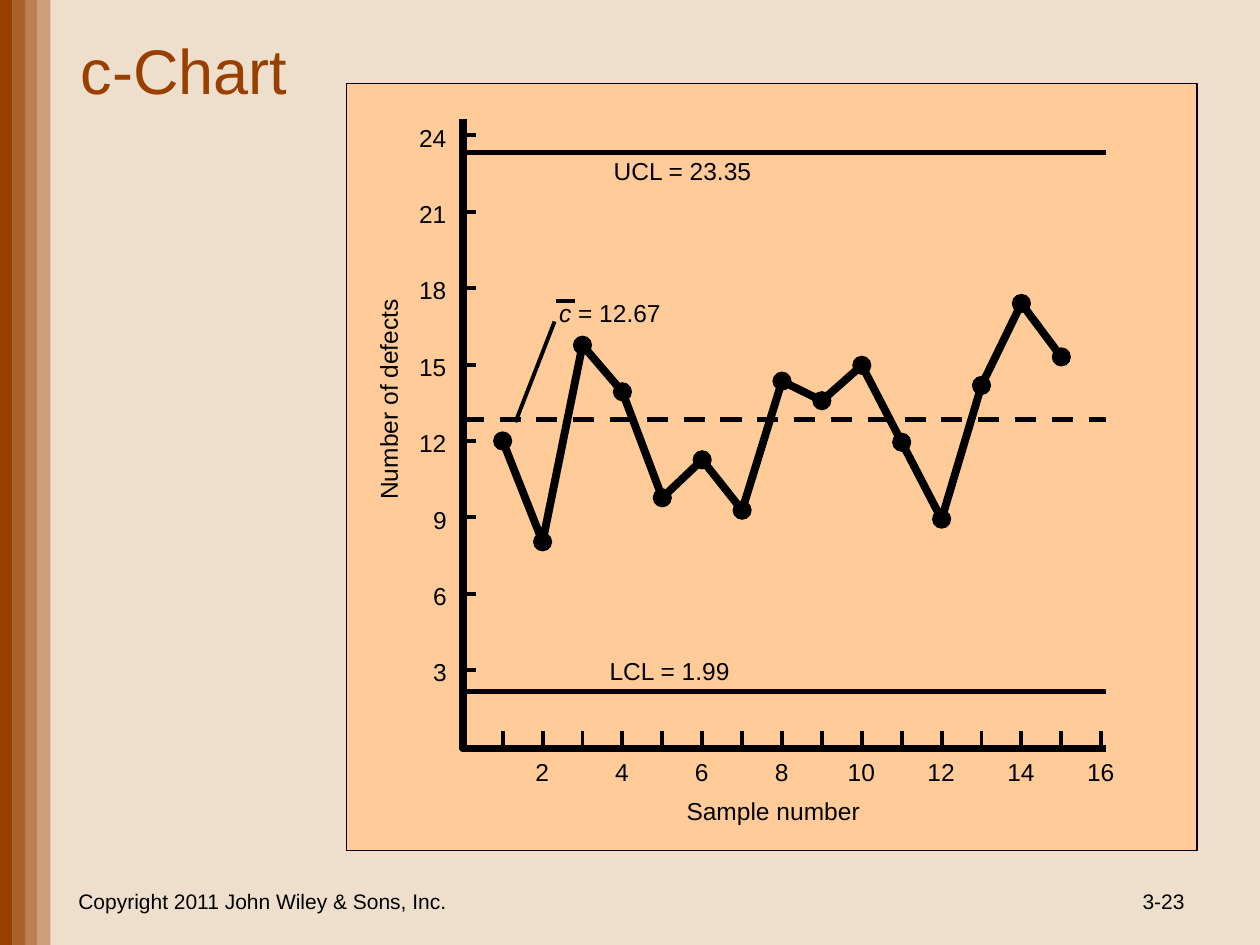
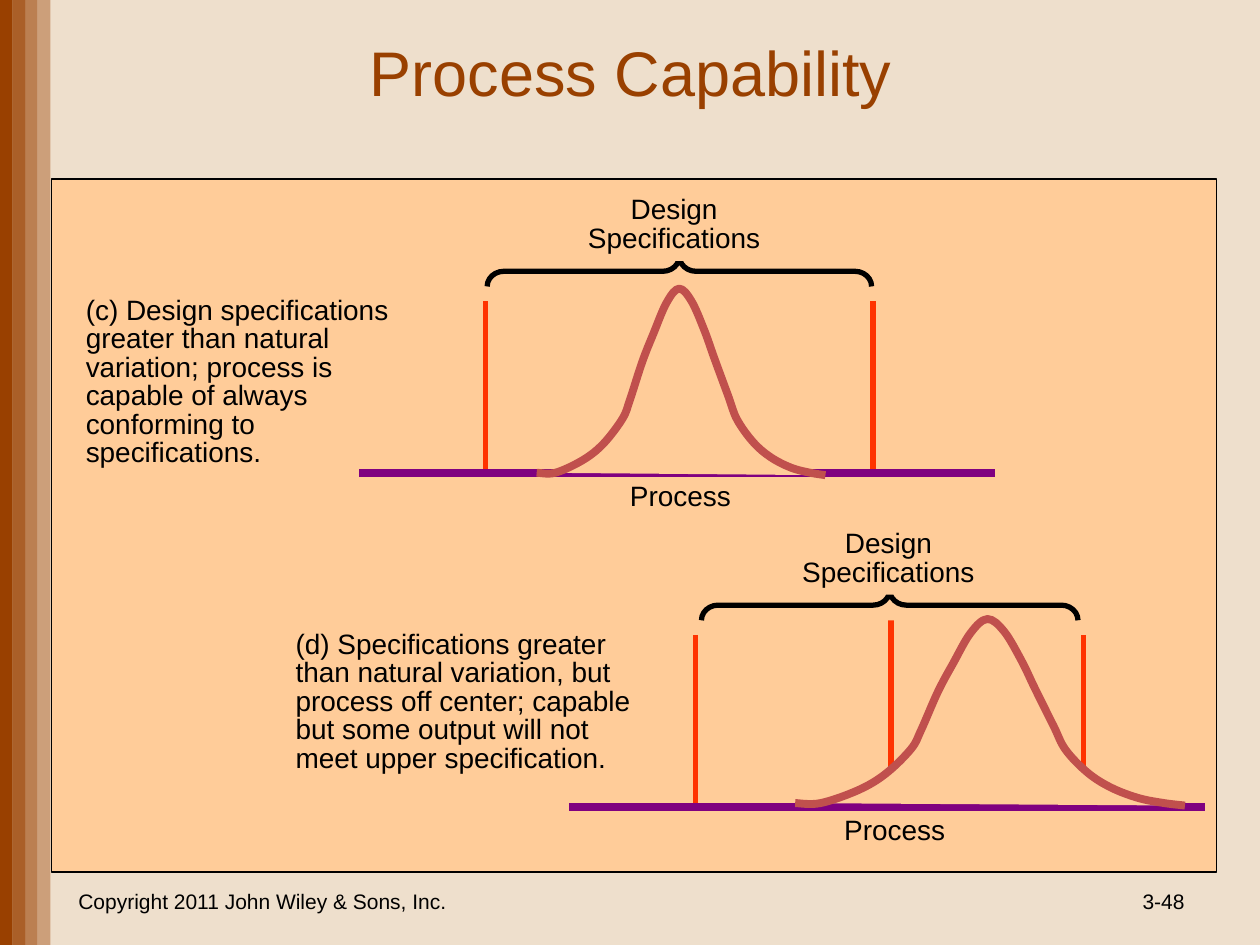
from lxml import etree
from pptx import Presentation
from pptx import util as u
from pptx.dml.color import RGBColor
from pptx.enum import dml, shapes, text
from pptx.oxml.ns import qn

SAND = RGBColor(0xEE, 0xDF, 0xCC)
RUST = RGBColor(0x99, 0x40, 0x00)
PEACH = RGBColor(0xFF, 0xCC, 0x99)
BLACK = RGBColor(0x00, 0x00, 0x00)
RED = RGBColor(0xFF, 0x33, 0x00)
PURPLE = RGBColor(0x80, 0x00, 0x80)
BRICK = RGBColor(0xC0, 0x50, 0x4D)

WIDE, HIGH = 25.4, 19.05
LEFT, MID, RIGHT = text.PP_ALIGN.LEFT, text.PP_ALIGN.CENTER, text.PP_ALIGN.RIGHT
KIND = shapes.MSO_SHAPE

# One entry per sample, read on the defects scale
DEFECTS = [12, 8.04, 15.76, 13.93, 9.77, 11.26, 9.28, 14.35,
           13.58, 14.97, 11.95, 8.93, 14.18, 17.4, 15.3]

# Knots of the bell curve in cm from its top left corner
BELL = [(0, 3.71), (0.38, 3.71), (0.94, 3.45), (1.35, 3.12), (1.73, 2.62),
        (1.88, 2.24), (2.13, 1.47), (2.36, 0.89), (2.62, 0.28), (2.87, 0),
        (3.12, 0.25), (3.38, 0.84), (3.58, 1.4), (3.86, 2.16), (4.04, 2.64),
        (4.37, 3.1), (4.72, 3.4), (5.13, 3.61), (5.51, 3.71), (5.82, 3.76)]


def smooth(item):
    """Turn the straight segments of a freeform into Bezier curves."""
    track = item._element.find(".//" + qn("a:path"))
    knots = [(int(p.get("x")), int(p.get("y"))) for p in track.iter(qn("a:pt"))]
    ends = [knots[0], *knots, knots[-1]]
    for i, old in enumerate(track.findall(qn("a:lnTo"))):
        a, b, c, d = ends[i:i + 4]
        bend = etree.Element(qn("a:cubicBezTo"))
        first = [q + (r - p) / 6 for p, q, r in zip(a, b, c)]
        second = [r - (s - q) / 6 for q, r, s in zip(b, c, d)]
        for x, y in (first, second, c):
            etree.SubElement(bend, qn("a:pt"), x=str(round(x)), y=str(round(y)))
        track.replace(old, bend)


class Deck:
    """Holds the shared style and the slide being drawn; lengths are in cm."""

    font = "Arial"

    def __init__(self):
        self.prs = Presentation()
        self.prs.slide_width, self.prs.slide_height = u.Cm(WIDE), u.Cm(HIGH)
        self.slide = None

    def page(self, title, box, number):
        self.slide = self.prs.slides.add_slide(self.prs.slide_layouts[6])
        back = self.slide.background.fill
        back.solid()
        back.fore_color.rgb = SAND
        step = WIDE / 100
        for i in range(4):
            band = self.shape(KIND.RECTANGLE, (step * i, 0, step, HIGH), RUST)
            if i:
                tone = band._element.spPr.find(".//" + qn("a:srgbClr"))
                etree.SubElement(tone, qn("a:alpha"), val=str(100000 - 20000 * i))
        self.label(title, box, 36, MID, color=RUST, wrap=True)
        self.label("Copyright 2011 John Wiley & Sons, Inc.",
                   (1.27, 17.65, 8.05, 1.02), 12, MID, wrap=True)
        self.label(number, (18.21, 17.65, 5.92, 1.02), 12, RIGHT, wrap=True)

    def paint(self, item, fill=None, line=None, width=0.75):
        item.shadow.inherit = False
        if fill is None:
            item.fill.background()
        else:
            item.fill.solid()
            item.fill.fore_color.rgb = fill
        if line is None:
            item.line.fill.background()
        else:
            item.line.color.rgb = line
            item.line.width = u.Pt(width)
        return item

    def shape(self, kind, box, fill, line=None, width=0.75):
        item = self.slide.shapes.add_shape(kind, *map(u.Cm, box))
        return self.paint(item, fill, line, width)

    def line(self, start, end, width, color=BLACK, dash=None):
        item = self.slide.shapes.add_connector(
            shapes.MSO_CONNECTOR.STRAIGHT, *map(u.Cm, (*start, *end)))
        item.line.color.rgb = color
        item.line.width = u.Pt(width)
        item.line.dash_style = dash
        etree.SubElement(item._element.spPr, qn("a:effectLst"))

    def trace(self, points, width, color=BLACK, fill=None):
        spots = [(u.Cm(x), u.Cm(y)) for x, y in points]
        build = self.slide.shapes.build_freeform(*spots[0])
        build.add_line_segments(spots[1:], close=False)
        return self.paint(build.convert_to_shape(), fill, color, width)

    def label(self, words, box, size, align=LEFT, color=BLACK, wrap=False,
              anchor=text.MSO_ANCHOR.MIDDLE, space=None, fill=None):
        item = self.slide.shapes.add_textbox(*map(u.Cm, box))
        if fill is not None:
            item.fill.solid()
            item.fill.fore_color.rgb = fill
        frame = item.text_frame
        frame.word_wrap = wrap
        frame.vertical_anchor = anchor
        para = frame.paragraphs[0]
        para.text = words
        para.alignment = align
        para.line_spacing = space
        para.font.name, para.font.size = self.font, u.Pt(size)
        para.font.color.rgb = color
        return item


def control(deck):
    deck.page("c-Chart", (1.07, -0.4, 5.28, 3.61), "3-23")
    deck.shape(KIND.RECTANGLE, (6.98, 1.69, 17.15, 15.45), PEACH, BLACK)
    deck.shape(KIND.RECTANGLE, (9.33, 3.07, 13.08, 10.9), PEACH)
    left, right, base = 9.33, 22.3, 15.09

    def across(sample):
        return left + (22.2 - left) * sample / 16

    def height(count):
        return 15.05 - 1.54 * count / 3

    def room(words):
        return 0.51 + 0.28 * len(words)

    for count in range(3, 25, 3):
        y, words = height(count), str(count)
        deck.line((left, y), (left + 0.27, y), 2.25)
        deck.label(words, (9.27 - room(words), y - 0.38, room(words), 0.84), 14)
    for sample in range(1, 17):
        x, words = across(sample), str(sample)
        deck.line((x, base - 0.05), (x, base - 0.36), 2.25)
        if sample % 2 == 0:
            deck.label(words, (x - room(words) / 2, 15.14, room(words), 0.84), 14)

    side = deck.label("Number of defects", (5.54, 7.62, 4.57, 0.84), 14)
    side.rotation = 270
    deck.label("Sample number", (13.59, 15.93, 4.01, 0.84), 14)
    deck.label("UCL = 23.35", (12.12, 3.02, 3.33, 0.84), 14)
    deck.label("LCL = 1.99", (12.04, 13.11, 3, 0.84), 14)
    mean = deck.label("c", (11.02, 5.89, 2.57, 0.84), 14)
    para = mean.text_frame.paragraphs[0]
    para.runs[0].font.italic = True
    para.add_run().text = " = 12.67"
    deck.line((11.2, 6.07), (11.6, 6.07), 2.25)
    deck.line((11.18, 6.48), (10.39, 8.51), 2.25)

    dash = dml.MSO_LINE.DASH
    for y, style in ((3.07, None), (13.94, None), (8.46, dash)):
        deck.line((left, y), (right, y), 3, dash=style)
    deck.trace([(left, 2.39), (left, base), (right, base)], 4.5)

    points = [(across(i), height(count)) for i, count in enumerate(DEFECTS, 1)]
    deck.trace(points, 4.5)
    for x, y in points:
        deck.shape(KIND.OVAL, (x - 0.18, y - 0.18, 0.36, 0.36), BLACK, BLACK)


def process(deck, dx, dy, shift, note, box, span, bell, stretch):
    """Draw one diagram, moved by dx and dy; shift moves its captions across."""
    deck.label(note, box, 16, wrap=True, anchor=text.MSO_ANCHOR.TOP,
               space=0.85, fill=PEACH)
    for x, top in ((9.78, 6.07), (17.6, 6.07), (13.72, 5.69)):
        deck.line((x + dx, top + dy), (x + dx, 9.5 + dy), 3, RED)
    brace = deck.shape(KIND.LEFT_BRACE,
                       (13.39 + dx, 5.47 + dy - span / 2, 0.61, span),
                       PEACH, BLACK, 3)
    brace.rotation = 90
    brace.adjustments[0] = 0.55
    deck.label("Design Specifications", (11.38 + shift, 3.84 + dy, 4.42, 1.42),
               16, MID, wrap=True, space=0.85, fill=PEACH)
    deck.label("Process", (12.45 + shift, 9.51 + dy, 2.57, 0.94), 16, fill=PEACH)
    deck.line((7.24 + dx, 9.54 + dy), (20.06 + dx, 9.54 + dy), 4.5, PURPLE)
    left, top = bell
    smooth(deck.trace([(left + stretch * x, top + y) for x, y in BELL],
                      4.5, BRICK, PEACH))


def main():
    deck = Deck()
    control(deck)
    deck.page("Process Capability", (2.46, 0.41, 20.5, 2.06), "3-48")
    deck.shape(KIND.RECTANGLE, (1.04, 3.61, 23.49, 13.97), PEACH, BLACK)
    process(deck, 0, 0, 0,
            "(c) Design specifications greater than natural variation; process "
            "is capable of always conforming to specifications.",
            (1.48, 5.87, 7.21, 3.73), 7.75, (10.82, 5.82), 1)
    process(deck, 4.24, 6.73, 4.32,
            "(d) Specifications greater than natural variation, but process "
            "off center; capable but some output will not meet upper "
            "specification.",
            (5.71, 12.6, 7.44, 3.18), 7.59, (16.03, 12.48), 1.35)
    deck.prs.save("out.pptx")


if __name__ == "__main__":
    main()
